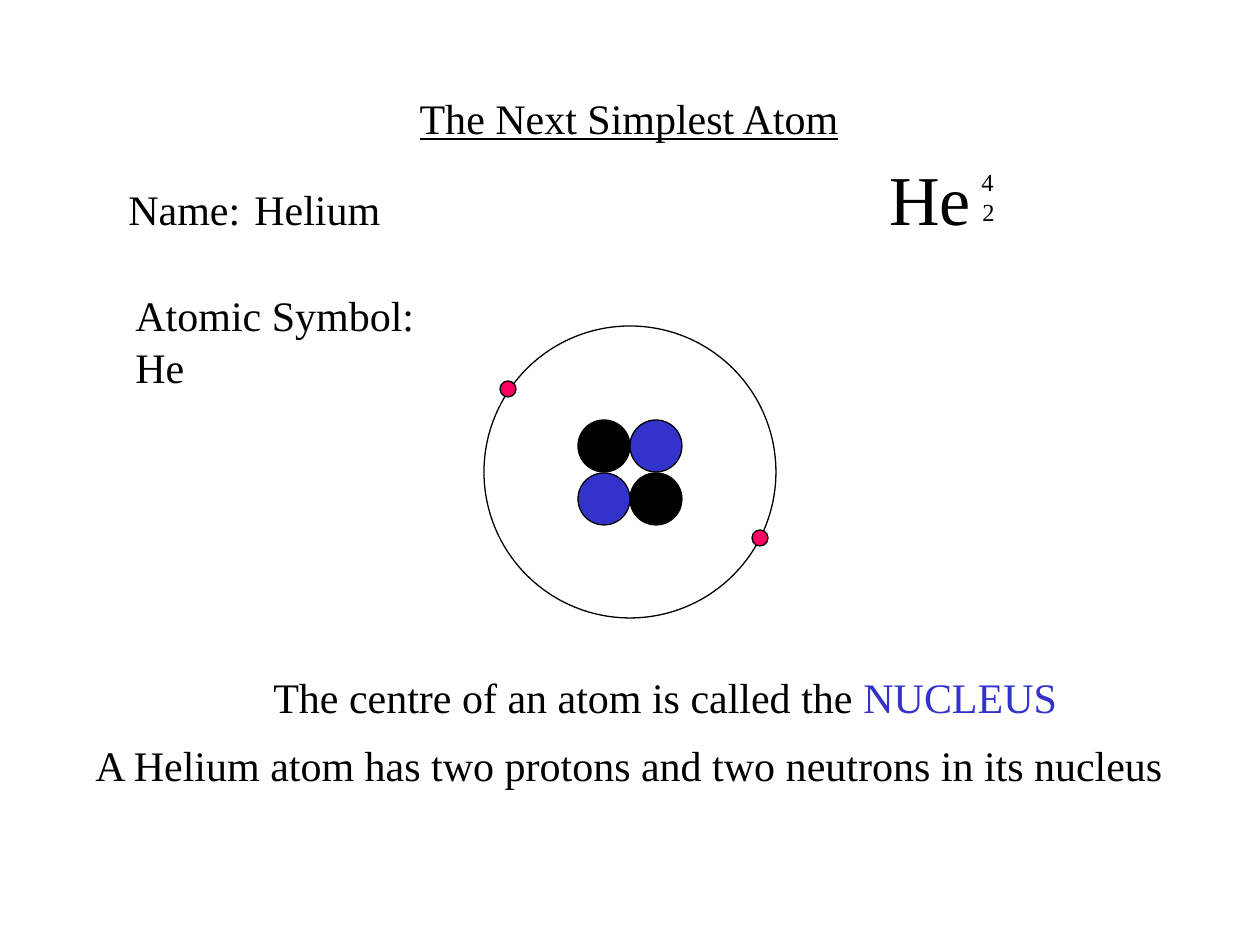
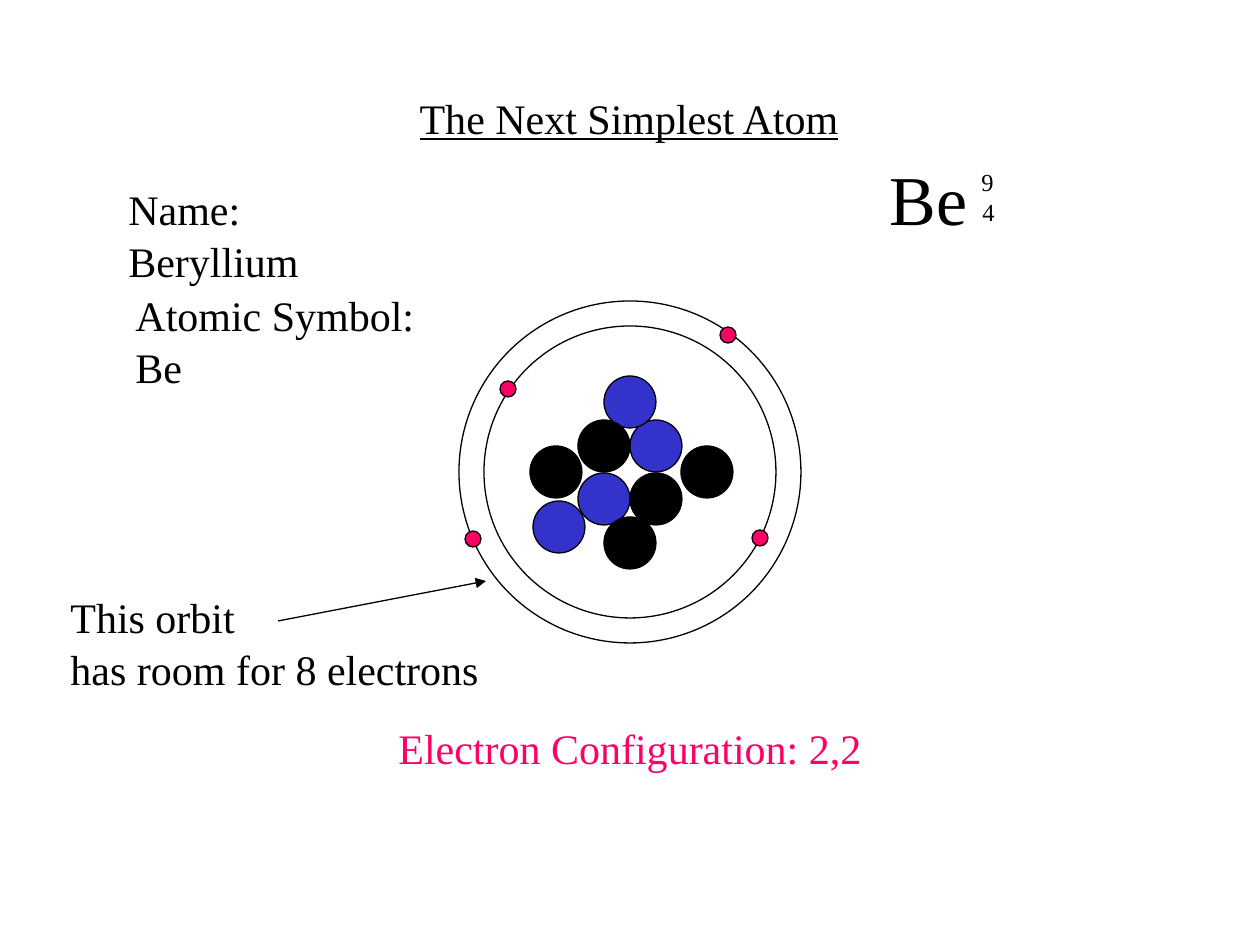
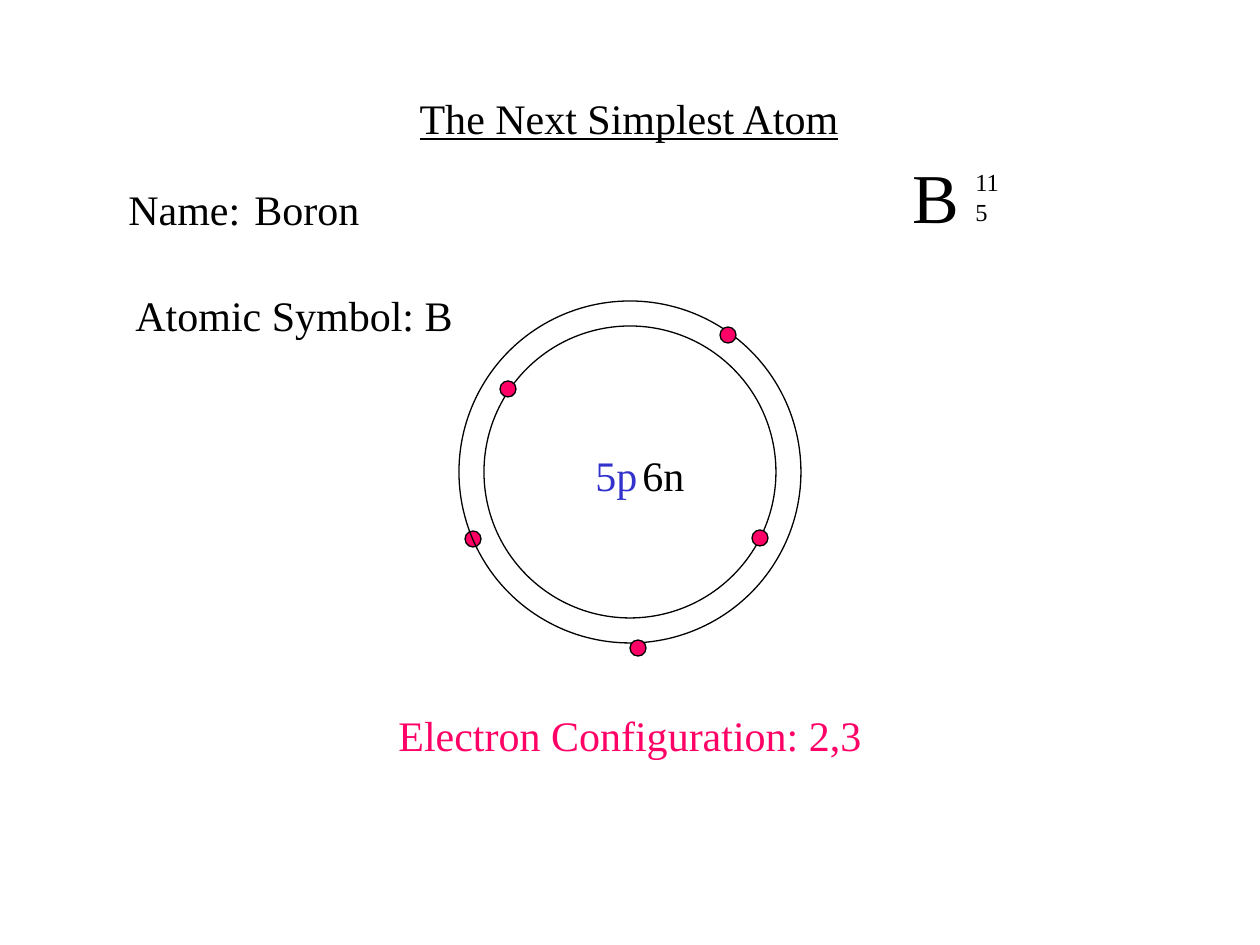
from lxml.etree import SubElement
from pptx import Presentation
from pptx.dml.color import RGBColor
from pptx.enum.shapes import MSO_CONNECTOR as Connector, MSO_SHAPE as Shape
from pptx.enum.text import MSO_ANCHOR as Anchor, MSO_AUTO_SIZE as AutoSize, PP_ALIGN as Align
from pptx.oxml.ns import qn
from pptx.util import Emu, Pt

PX_PER_INCH = 126
FONT = "Times New Roman"
COLORS = {
    "ink": "000000",
    "proton": "3333CC",
    "neutron": "000000",
    "electron": "FF0066",
}
CENTRE = (630, 472)
INNER_ORBIT, OUTER_ORBIT = 146, 171
ELECTRON_RADIUS, NUCLEON_RADIUS = 8, 26
INNER_ELECTRONS = [(508, 389), (760, 538)]
UPPER_ELECTRON, LEFT_ELECTRON, LOWER_ELECTRON = (728, 335), (473, 539), (638, 648)
CORE_PROTONS = [(656, 446), (604, 499)]
CORE_NEUTRONS = [(656, 499), (604, 446)]


def px(value):
    return Emu(round(value * 914400 / PX_PER_INCH))


def color(name):
    return RGBColor.from_string(COLORS[name])


def format_box(box, size, wrap):
    frame = box.text_frame
    frame.word_wrap = wrap
    frame.auto_size = AutoSize.SHAPE_TO_FIT_TEXT
    frame.vertical_anchor = Anchor.TOP
    for para in frame.paragraphs:
        para.alignment = Align.LEFT
        para.line_spacing = 1.04
        for span in para.runs:
            span.font.name = FONT
            span.font.size = Pt(size)


def add_text(slide, place, spans, size=24, wrap=False):
    box = slide.shapes.add_textbox(*map(px, place))
    para = box.text_frame.paragraphs[0]
    for text, tint in spans:
        span = para.add_run()
        span.text = text
        span.font.color.rgb = color(tint)
    format_box(box, size, wrap)


def add_note(slide, place, lines):
    box = slide.shapes.add_textbox(*map(px, place))
    box.text_frame.text = "\n".join(lines)
    format_box(box, 24, False)
    for para in box.text_frame.paragraphs:
        para.runs[0].font.color.rgb = color("ink")


def add_title(slide):
    title = slide.shapes.title
    title.left, title.top, title.width, title.height = map(px, (407, 84, 446, 63))
    title.text_frame.text = "The Next Simplest Atom"
    format_box(title, 24, False)
    font = title.text_frame.paragraphs[0].runs[0].font
    font.underline = True
    font.color.rgb = color("ink")


def add_circle(slide, centre, radius, fill=None):
    x, y = centre
    circle = slide.shapes.add_shape(
        Shape.OVAL, px(x - radius), px(y - radius), px(2 * radius), px(2 * radius))
    circle.shadow.inherit = False
    circle.line.color.rgb = color("ink")
    circle.line.width = Pt(0.75)
    if fill:
        circle.fill.solid()
        circle.fill.fore_color.rgb = color(fill)
    else:
        circle.fill.background()


def add_particles(slide, kind, centres):
    radius = ELECTRON_RADIUS if kind == "electron" else NUCLEON_RADIUS
    for centre in centres:
        add_circle(slide, centre, radius, kind)


def add_arrow(slide, start, end):
    arrow = slide.shapes.add_connector(Connector.STRAIGHT, *map(px, start + end))
    arrow.line.color.rgb = color("ink")
    arrow.line.width = Pt(0.75)
    SubElement(arrow.line._get_or_add_ln(), qn("a:tailEnd"), type="triangle")
    SubElement(arrow._element.spPr, qn("a:effectLst"))


def add_nuclide(slide, symbol, symbol_place, mass, mass_place, number, number_left):
    add_text(slide, symbol_place, [(symbol, "ink")], 40, True)
    add_text(slide, mass_place, [(mass, "ink")], 14, True)
    add_text(slide, (number_left, 190, 38, 43), [(number, "ink")], 14)


def add_labels(slide, name, name_width, symbol, symbol_width):
    add_text(slide, (116, 175, name_width, 63), [(f"Name: \t{name}", "ink")])
    add_text(slide, (123, 281, symbol_width, 63), [(f"Atomic Symbol: {symbol}", "ink")])


def add_configuration(slide, top, shells):
    add_text(slide, (386, top, 488, 63), [(f"Electron Configuration: {shells}", "electron")])


def add_page(deck):
    slide = deck.slides.add_slide(deck.slide_layouts[5])
    add_title(slide)
    return slide


def build_helium(deck):
    page = add_page(deck)
    add_nuclide(page, "He", (877, 146, 134, 97), "4", (969, 160, 35, 43), "2", 970)
    add_circle(page, CENTRE, INNER_ORBIT)
    add_particles(page, "electron", INNER_ELECTRONS)
    add_labels(page, "Helium", 277, "He", 363)
    add_particles(page, "neutron", CORE_NEUTRONS)
    add_particles(page, "proton", CORE_PROTONS)
    add_text(page, (261, 663, 809, 63),
             [("The centre of an atom is called the", "ink"), (" NUCLEUS", "proton")])
    add_text(page, (83, 731, 1095, 63),
             [("A Helium atom has two protons and two neutrons in its nucleus", "ink")])


def build_beryllium(deck):
    page = add_page(deck)
    add_nuclide(page, "Be", (877, 146, 134, 97), "9", (969, 160, 35, 43), "4", 970)
    add_circle(page, CENTRE, INNER_ORBIT)
    add_particles(page, "electron", INNER_ELECTRONS)
    add_labels(page, "Beryllium", 321, "Be", 360)
    add_particles(page, "proton", CORE_PROTONS + [(630, 402), (559, 527)])
    add_particles(page, "neutron", CORE_NEUTRONS + [(630, 543), (556, 472), (707, 472)])
    add_circle(page, CENTRE, OUTER_ORBIT)
    add_particles(page, "electron", [UPPER_ELECTRON, LEFT_ELECTRON])
    add_configuration(page, 714, "2,2")
    add_note(page, (58, 583, 433, 113), ["This orbit", "has room for 8 electrons"])
    add_arrow(page, (278, 621), (486, 581))


def build_boron(deck):
    page = add_page(deck)
    add_nuclide(page, "B", (900, 144, 63, 97), "11", (963, 160, 52, 43), "5", 963)
    add_labels(page, "Boron", 256, "B", 343)
    add_configuration(page, 701, "2,3")
    add_text(page, (583, 441, 95, 63), [("5p", "proton")], wrap=True)
    add_text(page, (630, 441, 67, 63), [("6n", "neutron")])
    add_particles(page, "electron", [LEFT_ELECTRON])
    add_circle(page, CENTRE, INNER_ORBIT)
    add_particles(page, "electron", INNER_ELECTRONS)
    add_circle(page, CENTRE, OUTER_ORBIT)
    add_particles(page, "electron", [UPPER_ELECTRON, LOWER_ELECTRON])


def main():
    deck = Presentation()
    deck.slide_width, deck.slide_height = px(1260), px(945)
    build_helium(deck)
    build_beryllium(deck)
    build_boron(deck)
    deck.save("out.pptx")


if __name__ == "__main__":
    main()
